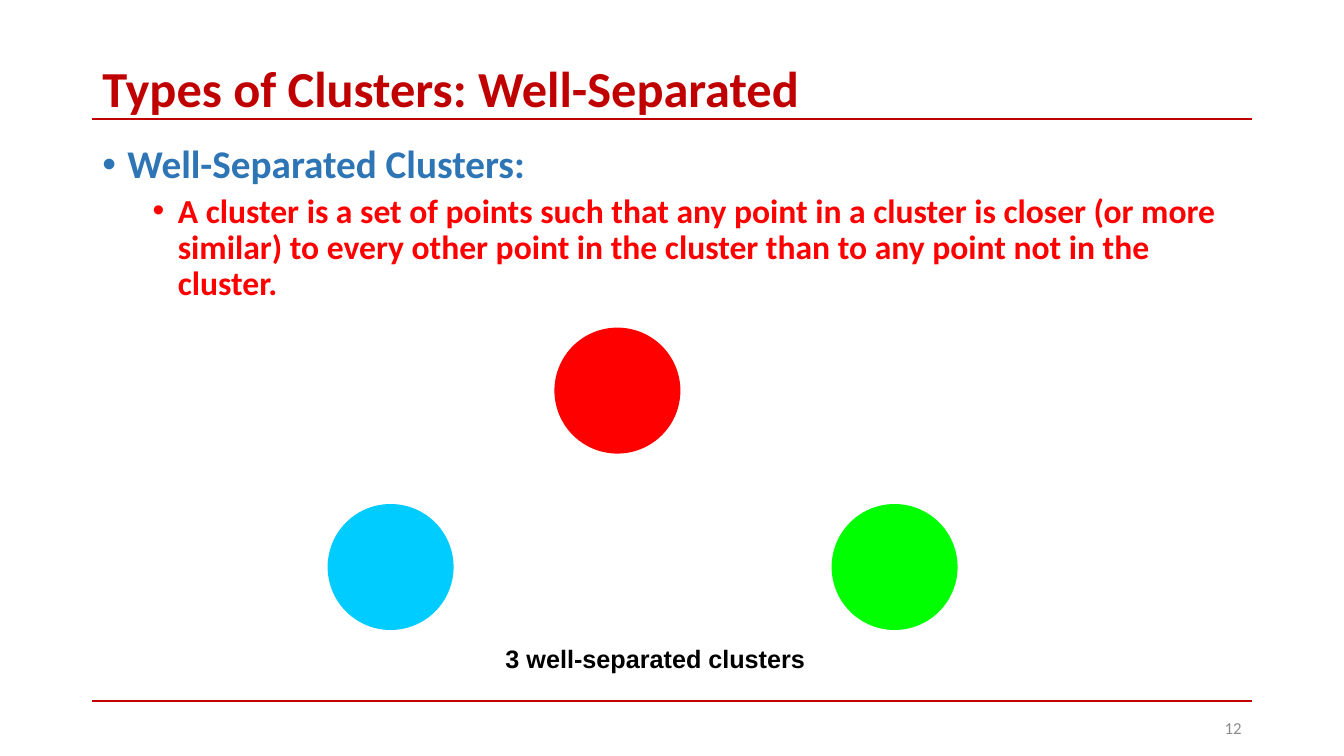
from lxml import etree
from pptx import Presentation
from pptx.dml.color import RGBColor
from pptx.enum.shapes import MSO_CONNECTOR, MSO_SHAPE
from pptx.enum.text import MSO_ANCHOR, PP_ALIGN
from pptx.oxml.ns import qn
from pptx.util import Pt

STRAIGHT = MSO_CONNECTOR.STRAIGHT
OVAL = MSO_SHAPE.OVAL
TOP, MIDDLE = MSO_ANCHOR.TOP, MSO_ANCHOR.MIDDLE
LEFT, RIGHT = PP_ALIGN.LEFT, PP_ALIGN.RIGHT

DARK_RED = RGBColor(0xC0, 0x00, 0x00)
BLUE = RGBColor(0x2E, 0x75, 0xB6)
RED = RGBColor(0xFF, 0x00, 0x00)
CYAN = RGBColor(0x00, 0xCC, 0xFF)
GREEN = RGBColor(0x00, 0xFF, 0x00)
BLACK = RGBColor(0x00, 0x00, 0x00)
GRAY = RGBColor(0x8C, 0x8C, 0x8C)

MARGIN, CONTENT_W = 66, 828
CLUSTER_SIZE = 90


def add_box(s, x, y, w, h, anchor=TOP):
    """Add an empty wrapping text box and return its text frame."""
    tf = s.shapes.add_textbox(Pt(x), Pt(y), Pt(w), Pt(h)).text_frame
    tf.word_wrap = True
    tf.vertical_anchor = anchor
    return tf


def add_bullet(p, indent):
    """Give a paragraph a round bullet with a hanging indent in points."""
    pPr = p._p.get_or_add_pPr()
    pPr.set("marL", str(Pt(indent)))
    pPr.set("indent", str(-Pt(18)))
    etree.SubElement(pPr, qn("a:buFont")).set("typeface", "Arial")
    etree.SubElement(pPr, qn("a:buChar")).set("char", "•")


def write(p, text, size, color, font="Calibri", bold=True, align=LEFT,
          spacing=1.0, before=0, bullet=None):
    """Write formatted text into a paragraph."""
    if bullet is not None:
        add_bullet(p, bullet)
    p.alignment = align
    p.line_spacing = spacing
    p.space_before = Pt(before)
    r = p.add_run()
    r.text = text
    r.font.name = font
    r.font.size = Pt(size)
    r.font.bold = bold
    r.font.color.rgb = color


def add_rule(s, y):
    """Draw a horizontal rule across the content width."""
    line = s.shapes.add_connector(
        STRAIGHT, Pt(MARGIN), Pt(y), Pt(MARGIN + CONTENT_W), Pt(y))
    line.line.color.rgb = DARK_RED
    line.line.width = Pt(1.5)
    etree.SubElement(line._element.spPr, qn("a:effectLst"))


def add_cluster(s, x, y, color):
    """Draw one cluster as a plain filled circle."""
    sp = s.shapes.add_shape(
        OVAL, Pt(x), Pt(y), Pt(CLUSTER_SIZE), Pt(CLUSTER_SIZE))
    sp.shadow.inherit = False
    sp.fill.solid()
    sp.fill.fore_color.rgb = color
    sp.line.fill.background()


def main():
    """Build the slide on well-separated clusters."""
    prs = Presentation()
    prs.slide_width, prs.slide_height = Pt(960), Pt(540)
    s = prs.slides.add_slide(prs.slide_layouts[6])

    for y in (85, 500.4):
        add_rule(s, y)

    title = add_box(s, MARGIN, 44, CONTENT_W, 42, anchor=MIDDLE)
    write(title.paragraphs[0], "Types of Clusters: Well-Separated", 36,
          DARK_RED, spacing=0.9)

    body = add_box(s, MARGIN, 100, CONTENT_W, 386.6)
    write(body.paragraphs[0], "Well-Separated Clusters:", 28, BLUE,
          spacing=0.9, bullet=18)
    write(body.add_paragraph(),
          "A cluster is a set of points such that any point in a cluster is "
          "closer (or more similar) to every other point in the cluster than "
          "to any point not in the cluster.", 24, RED,
          spacing=0.9, before=5, bullet=54)

    for x, y, color in ((234, 360, CYAN), (594, 360, GREEN), (396, 234, RED)):
        add_cluster(s, x, y, color)

    caption = add_box(s, 354, 456, 252, 29)
    write(caption.paragraphs[0], "3 well-separated clusters", 18, BLACK,
          font="Arial")

    number = add_box(s, 678, 505, 216, 29, anchor=MIDDLE)
    write(number.paragraphs[0], "12", 12, GRAY, bold=False, align=RIGHT)

    prs.save("out.pptx")


if __name__ == "__main__":
    main()
